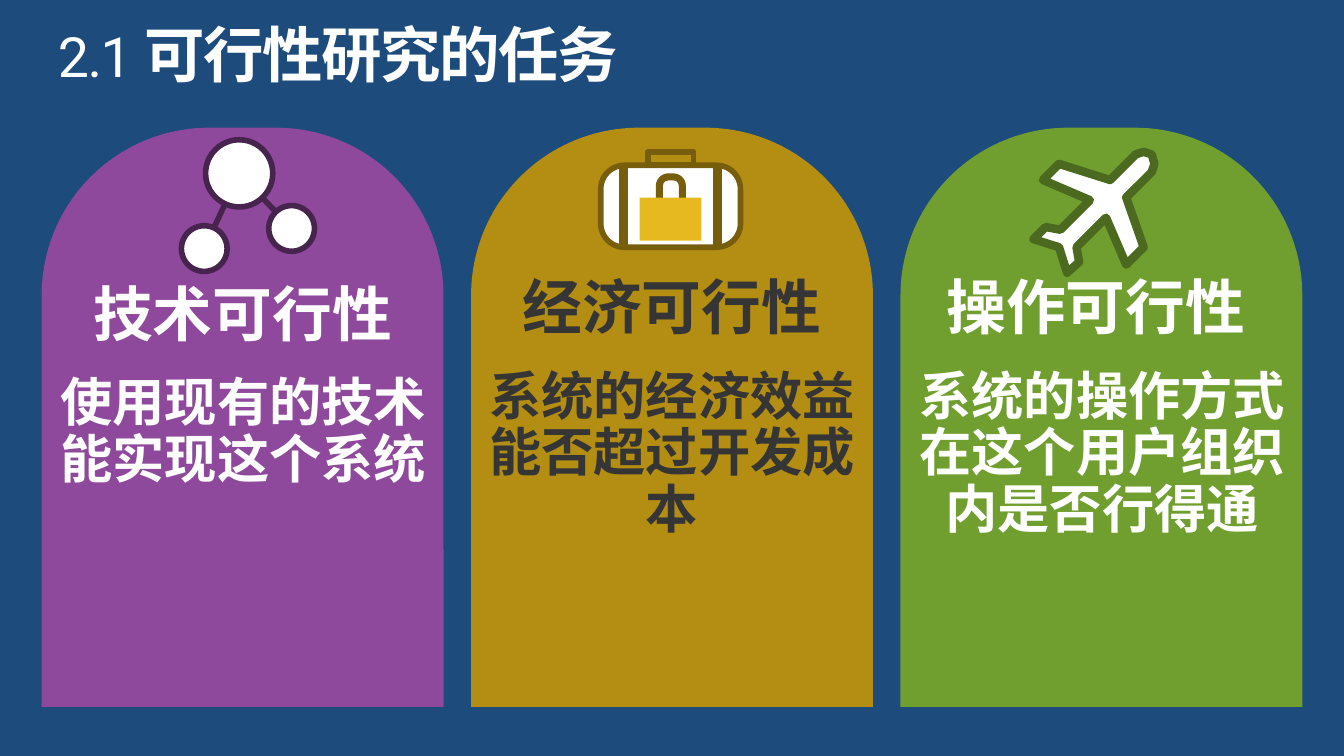
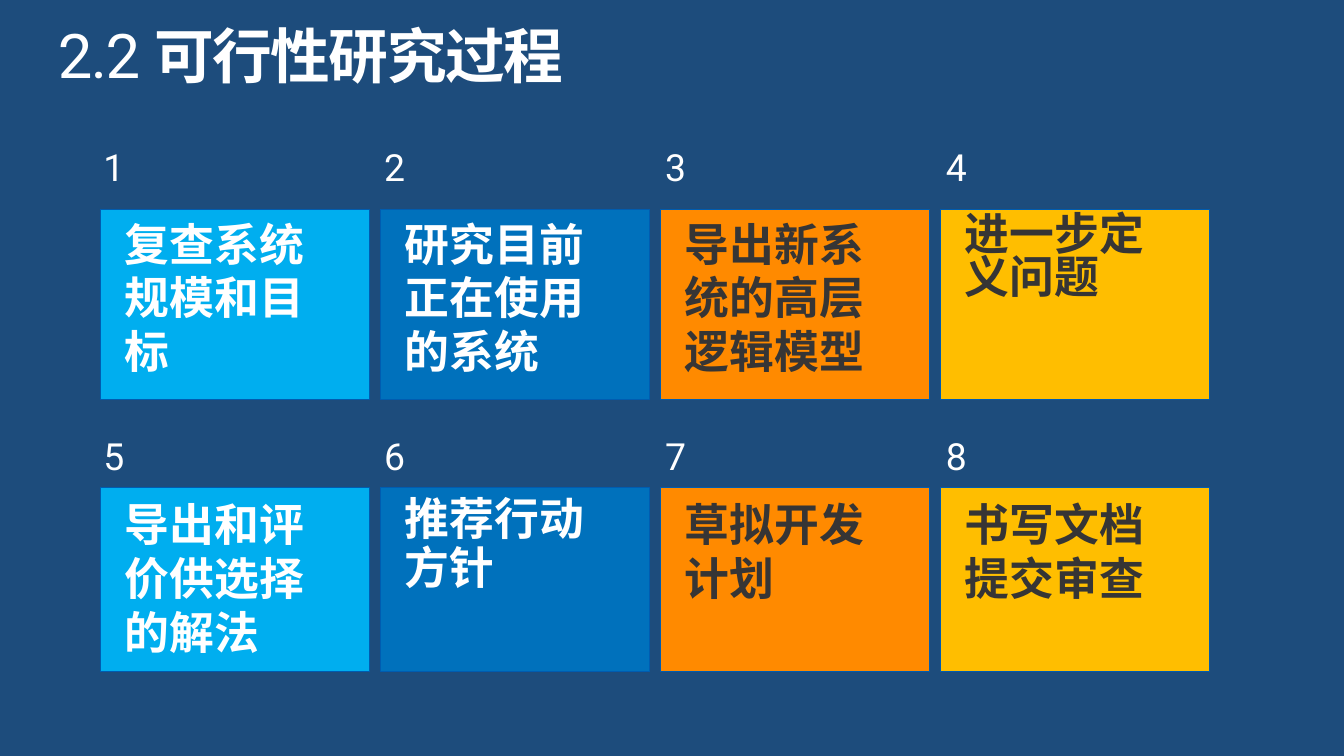
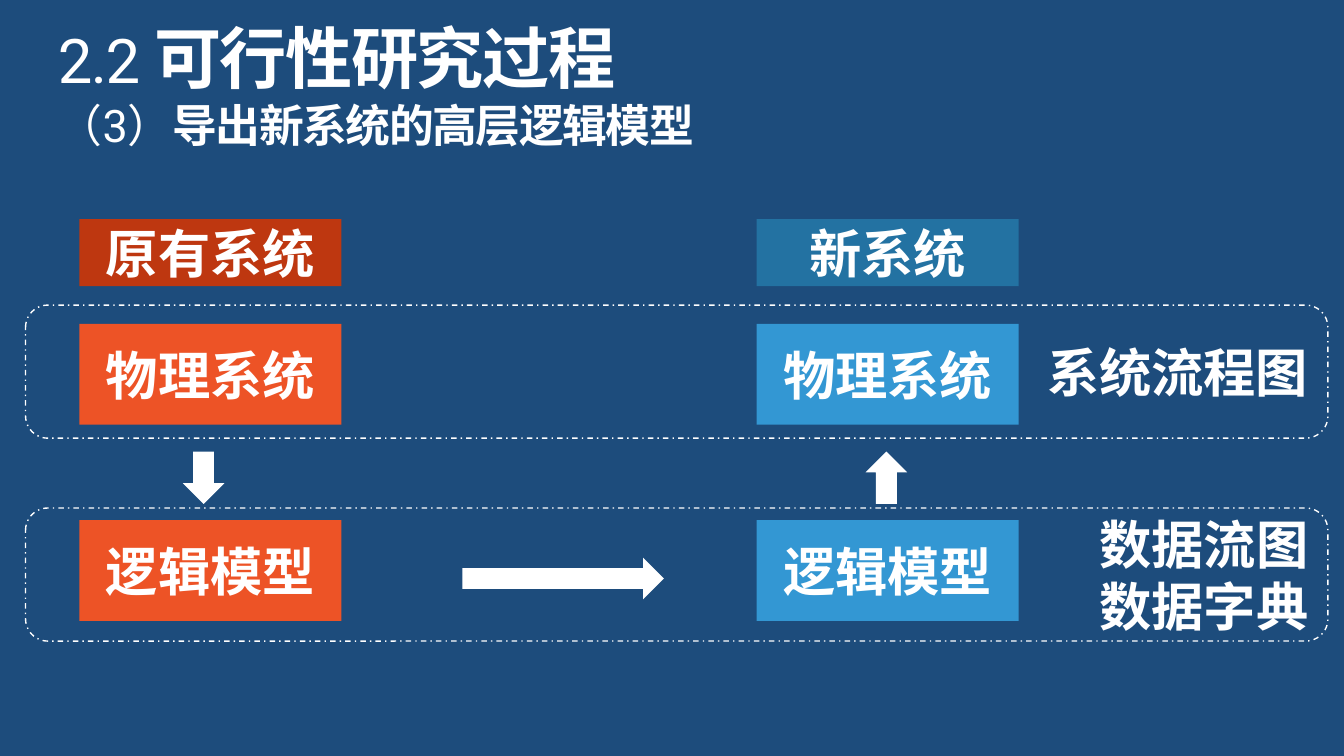
from dataclasses import dataclass

from lxml import etree
from pptx import Presentation
from pptx.dml.color import RGBColor
from pptx.enum.dml import MSO_LINE
from pptx.enum.shapes import MSO_CONNECTOR, MSO_SHAPE
from pptx.enum.text import MSO_ANCHOR, MSO_AUTO_SIZE, PP_ALIGN
from pptx.oxml.ns import qn
from pptx.util import Inches, Pt

LEFT, CENTER, RIGHT = PP_ALIGN.LEFT, PP_ALIGN.CENTER, PP_ALIGN.RIGHT
TOP, MIDDLE = MSO_ANCHOR.TOP, MSO_ANCHOR.MIDDLE
FIXED = MSO_AUTO_SIZE.NONE
STRAIGHT = MSO_CONNECTOR.STRAIGHT
DASH_DOT = MSO_LINE.DASH_DOT
RECT, ROUNDED, ELLIPSE = MSO_SHAPE.RECTANGLE, MSO_SHAPE.ROUNDED_RECTANGLE, MSO_SHAPE.OVAL
ARCH, U_TURN = MSO_SHAPE.ROUND_2_SAME_RECTANGLE, MSO_SHAPE.U_TURN_ARROW
DOWN, UP, ACROSS = MSO_SHAPE.DOWN_ARROW, MSO_SHAPE.UP_ARROW, MSO_SHAPE.RIGHT_ARROW


@dataclass(frozen=True)
class Theme:
    """Colours, fonts and type sizes shared by the slides."""
    navy: str = "1D4C7C"
    white: str = "FFFFFF"
    ink: str = "363535"
    purple: str = "8E499C"
    plum: str = "47244E"
    mustard: str = "B38E13"
    brown: str = "775E0D"
    gold: str = "E7B921"
    green: str = "709E2F"
    moss: str = "4B6A1F"
    cyan: str = "00AEEF"
    blue: str = "0071BC"
    orange: str = "FF8A00"
    yellow: str = "FFBE00"
    edge: str = "005CB0"
    rust: str = "BE3710"
    coral: str = "ED5326"
    teal: str = "2372A2"
    sky: str = "3397D3"
    latin: str = "Roboto"
    chinese: str = "Noto Sans CJK SC"
    section: float = 33
    heading: float = 32
    label: float = 28
    body: float = 24
    number: float = 20


THEME = Theme()
NO_INSETS = (0, 0, 0, 0)
INSETS = (0.1, 0.05, 0.1, 0.05)
PLANE = [
    (8.38, 1.97), (8.51, 1.84), (8.38, 1.47), (8.57, 1.28), (8.59, 1.22), (8.57, 1.15),
    (8.51, 1.13), (8.45, 1.15), (8.26, 1.34), (7.88, 1.22), (7.76, 1.34), (8.11, 1.49),
    (7.89, 1.71), (7.78, 1.69), (7.69, 1.78), (7.88, 1.84), (7.94, 2.03), (8.03, 1.95),
    (8.01, 1.84), (8.23, 1.62),
]


def apply_format(target, values):
    """Set each named attribute of the target."""
    for name, value in values.items():
        setattr(target, name, value)


def rgb(color):
    """Turn a hex string into a colour."""
    return RGBColor.from_string(color)


def inches(values):
    """Turn numbers into lengths."""
    return [Inches(value) for value in values]


def add_span(para, text, size, color=THEME.white, font=THEME.chinese, bold=True, tracking=None):
    """Add a formatted run to a paragraph."""
    span = para.add_run()
    span.text = text
    apply_format(span.font, {"name": font, "size": Pt(size), "bold": bold})
    span.font.color.rgb = rgb(color)
    properties = span._r.get_or_add_rPr()
    etree.SubElement(properties, qn("a:ea")).set("typeface", font)
    if tracking is not None:
        properties.set("spc", str(round(tracking * 100)))


def setup_frame(box, insets=INSETS, anchor=TOP):
    """Fix the insets, anchor and wrapping of a text frame."""
    names = ("margin_left", "margin_top", "margin_right", "margin_bottom")
    values = dict(zip(names, inches(insets)))
    values.update(word_wrap=True, auto_size=FIXED, vertical_anchor=anchor)
    apply_format(box.text_frame, values)
    return box.text_frame


def add_text(page, place, insets=INSETS, **layout):
    """Add a text box and return its first paragraph and frame."""
    frame = setup_frame(page.shapes.add_textbox(*inches(place)), insets)
    para = frame.paragraphs[0]
    apply_format(para, layout)
    return para, frame


def set_line(shape, color, width):
    """Draw the outline of a shape."""
    if color is None:
        shape.line.fill.background()
        return
    shape.line.color.rgb = rgb(color)
    shape.line.width = Pt(width)


def paint(shape, fill=None, line=None, width=3):
    """Set the fill and outline and remove the shadow."""
    shape.shadow.inherit = False
    if fill is None:
        shape.fill.background()
    else:
        shape.fill.solid()
        shape.fill.fore_color.rgb = rgb(fill)
    set_line(shape, line, width)


def add_figure(page, kind, place, adjustments=(), **style):
    """Add a painted preset shape."""
    shape = page.shapes.add_shape(kind, *inches(place))
    for index, value in enumerate(adjustments):
        shape.adjustments[index] = value
    paint(shape, **style)
    return shape


def add_line(page, start, end, color, width):
    """Add a straight line without a shadow."""
    line = page.shapes.add_connector(STRAIGHT, *inches((*start, *end)))
    set_line(line, color, width)
    etree.SubElement(line._element.spPr, qn("a:effectLst"))


def label_shape(shape, lines, align):
    """Write bold label lines into a shape."""
    frame = setup_frame(shape, anchor=MIDDLE)
    for index, text in enumerate(lines):
        para = frame.add_paragraph() if index else frame.paragraphs[0]
        para.alignment = align
        add_span(para, text, THEME.label)


def add_page(deck, section, title, section_size=THEME.section, title_size=THEME.heading, height=0.5):
    """Add a slide with a numbered title."""
    page = deck.slides.add_slide(deck.slide_layouts[5])
    box = page.shapes.title
    apply_format(box, dict(zip(("left", "top", "width", "height"), inches((0.43, 0.19, 9.15, height)))))
    para = setup_frame(box, NO_INSETS).paragraphs[0]
    apply_format(para, {"alignment": LEFT, "line_spacing": 0.9})
    add_span(para, section + " ", section_size, font=THEME.latin, bold=False, tracking=-0.8)
    add_span(para, title, title_size, tracking=-0.8)
    return page


def add_card_text(page, left, heading, body, color, insets, indent):
    """Add the heading and explanation of a feasibility card."""
    layout = {"alignment": CENTER, "line_spacing": 0.9}
    para, frame = add_text(page, (left, 2.07, 2.99, 1.98), insets, space_after=Pt(9), **layout)
    add_span(para, heading, THEME.heading, color)
    para = frame.add_paragraph()
    apply_format(para, {"space_before": Pt(5.6), **layout})
    para._p.get_or_add_pPr().set("marL", str(Inches(indent)))
    add_span(para, body, THEME.label, color)


def add_molecule(page):
    """Draw three linked atoms."""
    hub, *others = atoms = [(1.78, 1.29, 0.25), (1.52, 1.85, 0.17), (2.17, 1.7, 0.17)]
    for x, y, _ in others:
        add_line(page, hub[:2], (x, y), THEME.plum, 3)
    for x, y, radius in atoms:
        place = (x - radius, y - radius, 2 * radius, 2 * radius)
        add_figure(page, ELLIPSE, place, fill=THEME.white, line=THEME.plum)


def add_suitcase(page):
    """Draw a suitcase with a bag on it."""
    add_figure(page, RECT, (4.82, 1.13, 0.34, 0.1), line=THEME.brown)
    add_figure(page, ROUNDED, (4.47, 1.23, 1.04, 0.61), (0.29,), fill=THEME.white, line=THEME.brown)
    add_figure(page, U_TURN, (4.88, 1.29, 0.25, 0.21), (0.25, 0.25, 0, 0.44, 1), fill=THEME.brown)
    add_figure(page, RECT, (4.76, 1.47, 0.46, 0.32), fill=THEME.gold)
    for x in (4.64, 5.34):
        add_line(page, (x, 1.24), (x, 1.84), THEME.brown, 4.5)


def add_plane(page):
    """Draw an aeroplane outline."""
    start, *rest = [inches(point) for point in PLANE]
    builder = page.shapes.build_freeform(*start)
    builder.add_line_segments(rest, close=True)
    paint(builder.convert_to_shape(), THEME.white, THEME.moss, 4.5)


def build_tasks(deck):
    """Build the slide on the three kinds of feasibility."""
    page = add_page(deck, "2.1", "可行性研究的任务", 29.7, 32.4)
    cards = [
        (THEME.purple, "技术可行性", "使用现有的技术能实现这个系统", THEME.white, INSETS, 0.01),
        (THEME.mustard, "经济可行性", "系统的经济效益能否超过开发成本", THEME.ink, NO_INSETS, 0),
        (THEME.green, "操作可行性", "系统的操作方式在这个用户组织内是否行得通", THEME.white,
         (0, 0, 0.08, 0), 0.09),
    ]
    for column, (fill, *content) in enumerate(cards):
        left = 0.31 + 6.39 / 2 * column
        add_figure(page, ARCH, (left, 0.95, 2.99, 4.31), (0.417, 0), fill=fill)
        add_card_text(page, left, *content)
    add_plane(page)
    add_suitcase(page)
    add_molecule(page)


def build_steps(deck):
    """Build the slide with the eight process steps."""
    page = add_page(deck, "2.2", "可行性研究过程")
    styles = [(THEME.cyan, THEME.white), (THEME.blue, THEME.white),
              (THEME.orange, THEME.ink), (THEME.yellow, THEME.ink)]
    rows = [(1.06, 1.56, 1.41, 1.56), (3.21, 3.63, 1.37, 3.65)]
    steps = [
        ("复查系统规模和目标", 1.0), ("研究目前正在使用的系统", 1.0),
        ("导出新系统的高层逻辑模型", 1.0), ("进一步定义问题", 0.8),
        ("导出和评价供选择的解法", 1.0), ("推荐行动方针", 0.9),
        ("草拟开发计划", 1.0), ("书写文档提交审查", 1.0),
    ]
    for index, (text, spacing) in enumerate(steps):
        row, column = divmod(index, len(styles))
        number_top, top, height, text_top = rows[row]
        fill, color = styles[column]
        left = 0.75 + 6.25 / 3 * column
        add_figure(page, RECT, (left, top, 2, height), fill=fill, line=THEME.edge, width=0.5)
        para, _ = add_text(page, (left + 0.08, text_top, 1.83, 1.31), line_spacing=spacing)
        add_span(para, text, THEME.body, color)
        para, _ = add_text(page, (0.67 + 2.09 * column, number_top, 0.35, 0.4), line_spacing=0.9)
        add_span(para, str(index + 1), THEME.number, font=THEME.latin, bold=False)


def build_model(deck):
    """Build the slide that leads from the old system to the new one."""
    page = add_page(deck, "2.2", "可行性研究过程", title_size=36, height=0.55)
    para, _ = add_text(page, (0.43, 0.77, 9.15, 0.36), NO_INSETS, line_spacing=0.9)
    add_span(para, "（3）", THEME.body, font=THEME.latin, bold=False, tracking=-0.8)
    add_span(para, "导出新系统的高层逻辑模型", THEME.body, tracking=-0.8)
    systems = [(0.59, "原有系统", THEME.rust, THEME.coral), (5.63, "新系统", THEME.teal, THEME.sky)]
    for left, name, dark, bright in systems:
        blocks = [(1.63, 0.5, name, dark), (2.41, 0.75, "物理系统", bright),
                  (3.87, 0.75, "逻辑模型", bright)]
        for top, height, text, fill in blocks:
            block = add_figure(page, RECT, (left, top, 1.95, height), fill=fill)
            label_shape(block, [text], CENTER)
    arrows = [(DOWN, (1.36, 3.36, 0.31, 0.39)), (UP, (6.44, 3.36, 0.31, 0.39)),
              (ACROSS, (3.44, 4.15, 1.5, 0.31))]
    for kind, place in arrows:
        add_figure(page, kind, place, fill=THEME.white)
    for top, lines in [(2.27, ["系统流程图"]), (3.78, ["数据流图", "数据字典"])]:
        band = add_figure(page, ROUNDED, (0.19, top, 9.69, 0.99), line=THEME.white, width=0.75)
        band.line.dash_style = DASH_DOT
        label_shape(band, lines, RIGHT)


def main():
    """Build and save the deck."""
    deck = Presentation()
    apply_format(deck, {"slide_width": Inches(10), "slide_height": Inches(10 * 9 / 16)})
    background = deck.slide_master.background.fill
    background.solid()
    background.fore_color.rgb = rgb(THEME.navy)
    for build in (build_tasks, build_steps, build_model):
        build(deck)
    deck.save("out.pptx")


if __name__ == "__main__":
    main()
